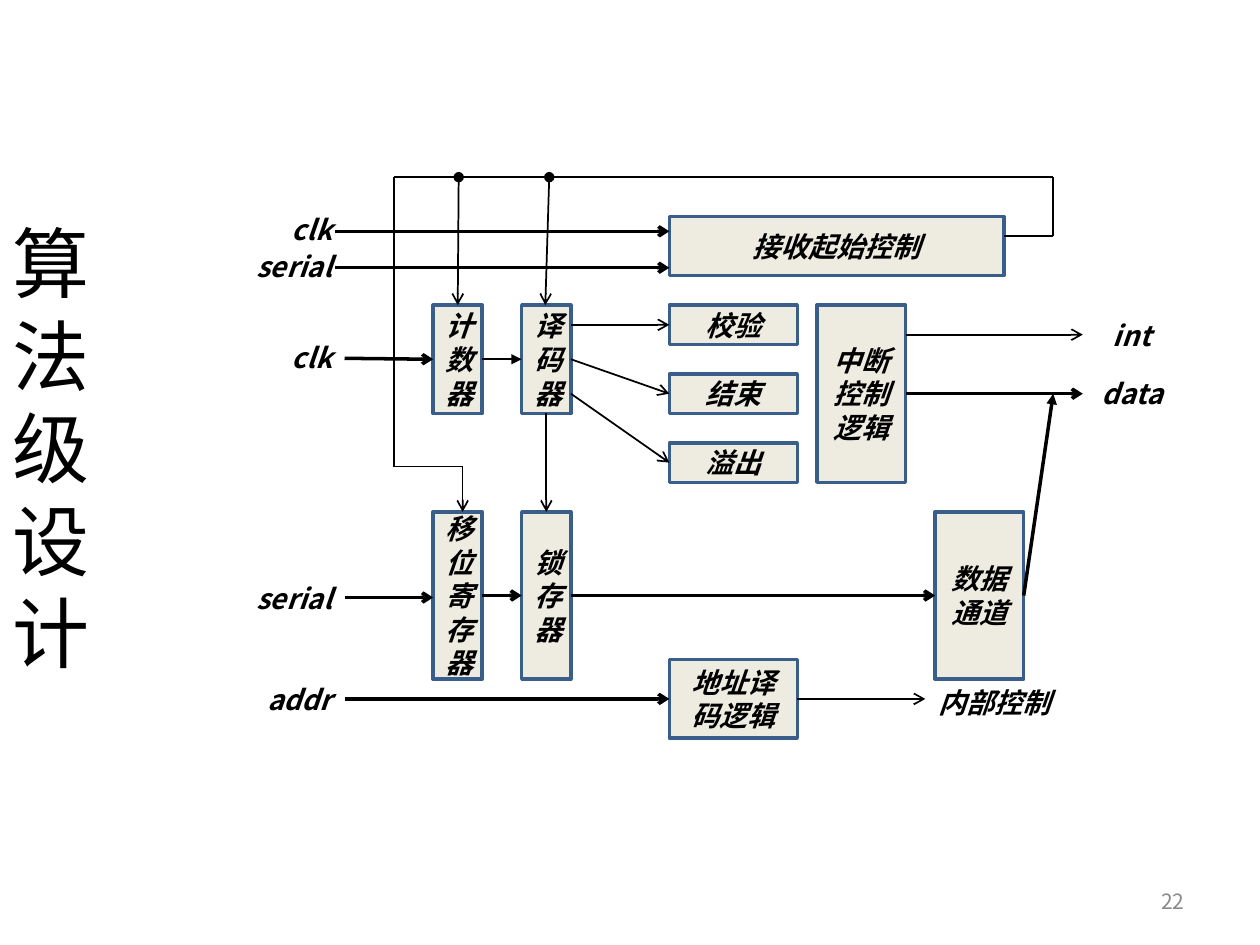
from itertools import pairwise
from lxml import etree
from pptx import Presentation
from pptx.dml.color import RGBColor
from pptx.enum.shapes import MSO_CONNECTOR, MSO_SHAPE
from pptx.enum.text import MSO_ANCHOR, MSO_AUTO_SIZE, PP_ALIGN
from pptx.oxml.ns import qn
from pptx.util import Inches, Pt

LINE, RECT = MSO_CONNECTOR.STRAIGHT, MSO_SHAPE.RECTANGLE
MID, TOP, FIXED = MSO_ANCHOR.MIDDLE, MSO_ANCHOR.TOP, MSO_AUTO_SIZE.NONE
LEFT, RIGHT, MIDDLE = PP_ALIGN.LEFT, PP_ALIGN.RIGHT, PP_ALIGN.CENTER
SANS = "Noto Sans CJK SC"
THEME = {
    "ink": RGBColor(0, 0, 0),
    "fill": RGBColor(0xEE, 0xEC, 0xE1),
    "edge": RGBColor(0x39, 0x5E, 0x8A),
    "title": {"name": "Arial", "size": Pt(44), "bold": False},
    "box": {"name": "Calibri", "size": Pt(16), "bold": True, "italic": True},
    "label": {"name": SANS, "size": Pt(16), "bold": True, "italic": True},
    "page": {"name": SANS, "size": Pt(12)},
    "grey": RGBColor(0x89, 0x89, 0x89),
    "thin": Pt(1),
    "thick": Pt(2),
}

deck = Presentation()
deck.slide_width, deck.slide_height = Inches(10), Inches(7.5)
unit = deck.slide_width / 128
slide = deck.slides.add_slide(deck.slide_layouts[5])
shapes = slide.shapes


def write(shape, text, style, align, anchor, color=THEME["ink"]):
    frame = shape.text_frame
    frame.text = text
    form = {"word_wrap": True, "auto_size": FIXED, "vertical_anchor": anchor}
    for key, value in form.items():
        setattr(frame, key, value)
    para = frame.paragraphs[0]
    para.alignment = align
    font = para.runs[0].font
    for key, value in THEME[style].items():
        setattr(font, key, value)
    font.color.rgb = color


def draw(start, end, weight="thin", tail=None, head=None):
    wire = shapes.add_connector(LINE, *[round(n * unit) for n in (*start, *end)])
    wire.line.color.rgb = THEME["ink"]
    wire.line.width = THEME[weight]
    props = wire._element.spPr
    for tag, kind in (("a:headEnd", head), ("a:tailEnd", tail)):
        if kind:
            etree.SubElement(props.find(qn("a:ln")), qn(tag), type=kind)
    etree.SubElement(props, qn("a:effectLst"))


title = shapes.title
place = {"left": 0, "top": 21, "width": 10.1, "height": 48.8}
for key, value in place.items():
    setattr(title, key, round(value * unit))
write(title, "算法级设计", "title", MIDDLE, MID)

boxes = [
    ("接收起始控制", 68, 22, 34, 6),
    *[(word, 68, 31 + 7 * row, 13, 4) for row, word in enumerate(["校验", "结束", "溢出"])],
    ("中断控制逻辑", 83, 31, 9, 18),
    ("计数器", 44, 31, 5, 11),
    ("译码器", 53, 31, 5, 11),
    ("移位寄存器", 44, 52, 5, 17),
    ("锁存器", 53, 52, 5, 17),
    ("地址译码逻辑", 68, 67, 13, 8),
    ("数据通道", 95, 52, 9, 17),
]
for text, *area in boxes:
    box = shapes.add_shape(RECT, *[round(n * unit) for n in area])
    box.shadow.inherit = False
    box.fill.solid()
    box.fill.fore_color.rgb = THEME["fill"]
    box.line.color.rgb = THEME["edge"]
    box.line.width = THEME["thick"]
    write(box, text, "box", MIDDLE, MID)

bus = [(102, 24), (107, 24), (107, 18), (40, 18), (40, 47.4), (47, 47.4), (47, 52)]
for start, end in pairwise(bus):
    draw(start, end, tail="arrow" if end == bus[-1] else None)
for start, end in [((46.6, 18), (46.5, 31)), ((55.8, 18), (55.4, 31))]:
    draw(start, end, tail="arrow", head="oval")

thin = [
    ((58, 33), (68, 33)),
    ((58, 36.5), (68, 40)),
    ((58, 40), (68, 47)),
    ((55.5, 42), (55.5, 52)),
    ((92, 34), (110, 34)),
    ((81, 71), (94, 71)),
]
thick = [
    ((34, 23.5), (68, 23.5)),
    ((34, 27.2), (68, 27.2)),
    ((35, 36.4), (44, 36.5)),
    ((92, 40), (110, 40)),
    ((35, 60.7), (44, 60.7)),
    ((49, 60.5), (53, 60.5)),
    ((58, 60.5), (95, 60.5)),
    ((35, 71), (68, 71)),
]
for weight, wires in (("thin", thin), ("thick", thick)):
    for start, end in wires:
        draw(start, end, weight, "arrow")
draw((49, 36.5), (53, 36.5), "thin", "triangle")
draw((104, 60.5), (107, 40), "thick", "triangle")

labels = [
    ("clk", 24, 21, 11, RIGHT),
    ("serial", 21, 24.7, 14, RIGHT),
    ("clk", 25, 34, 10, RIGHT),
    ("serial", 23, 58.4, 12, RIGHT),
    ("addr", 23, 68.7, 12, RIGHT),
    ("int", 110, 31.7, 10, MIDDLE),
    ("data", 110, 37.6, 10, MIDDLE),
    ("内部控制", 93, 69, 16, MIDDLE),
]
for text, left, top, width, align in labels:
    label = shapes.add_textbox(*[round(n * unit) for n in (left, top, width, 4.7)])
    write(label, text, "label", align, TOP)

page = shapes.add_textbox(*[round(n * unit) for n in (91.8, 89, 29.8, 5.1)])
write(page, "22", "page", RIGHT, MID, THEME["grey"])

deck.save("out.pptx")
